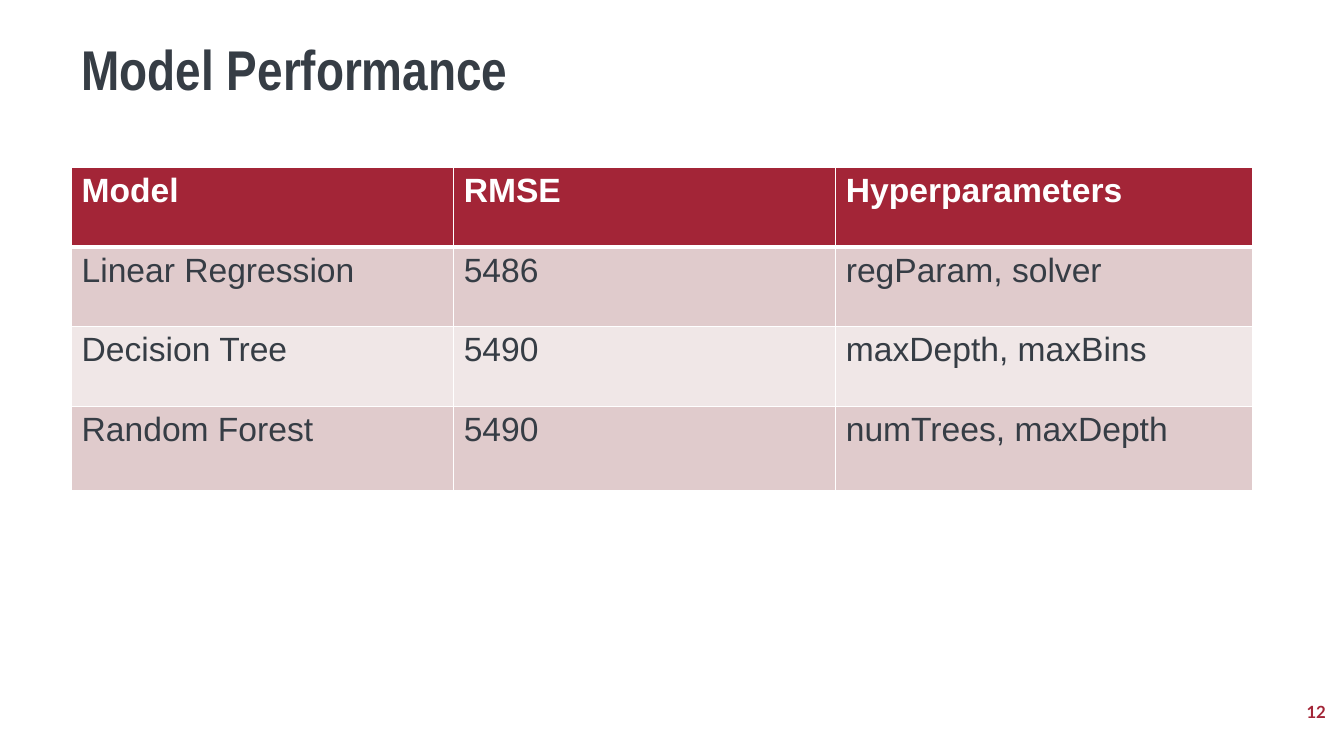
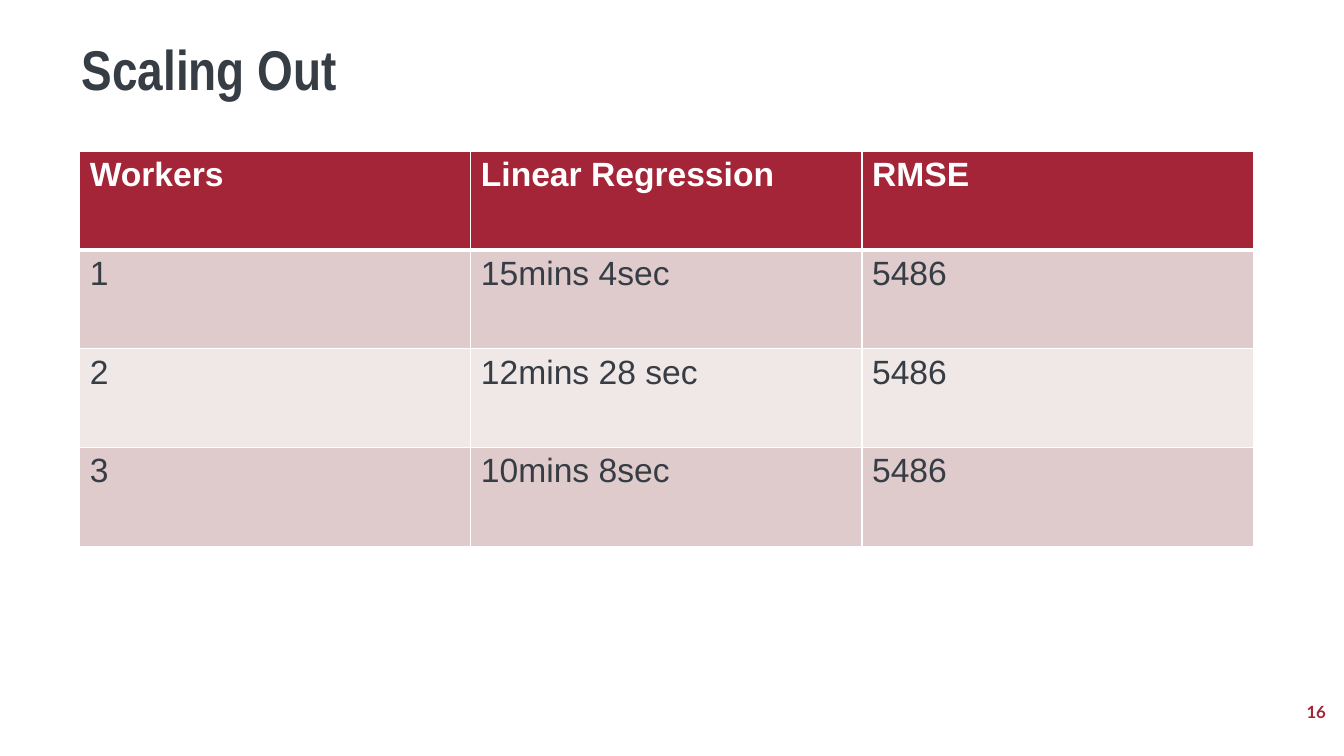
import pptx
import pptx.util
import pptx.dml.color
import pptx.enum.text
import pptx.oxml.ns
from lxml import etree

Inches = pptx.util.Inches
Pt = pptx.util.Pt
RGBColor = pptx.dml.color.RGBColor
Align = pptx.enum.text.PP_ALIGN
Anchor = pptx.enum.text.MSO_ANCHOR

CRIMSON = RGBColor(0xA3, 0x25, 0x37)
SLATE = RGBColor(0x36, 0x3D, 0x45)
WHITE = RGBColor(0xFF, 0xFF, 0xFF)
BANDS = (RGBColor(0xE0, 0xCB, 0xCC), RGBColor(0xF0, 0xE7, 0xE7))

TITLE_ONLY = 5
GRID_WIDTH, HEADER_RULE_WIDTH = 1, 3

SLIDES = [
    {
        "title": "Model Performance",
        "number": "12",
        "position": (0.71, 1.66),
        "columns": (3.79, 3.79, 4.13),
        "heights": (0.79, 0.79, 0.79, 0.84),
        "rows": [
            ("Model", "RMSE", "Hyperparameters"),
            ("Linear Regression", "5486", "regParam, solver"),
            ("Decision Tree", "5490", "maxDepth, maxBins"),
            ("Random Forest", "5490", "numTrees, maxDepth"),
        ],
    },
    {
        "title": "Scaling Out",
        "number": "16",
        "position": (0.79, 1.5),
        "columns": (3.88,) * 3,
        "heights": (0.98,) * 4,
        "rows": [
            ("Workers", "Linear Regression", "RMSE"),
            ("1", "15mins 4sec", "5486"),
            ("2", "12mins 28 sec", "5486"),
            ("3", "10mins 8sec", "5486"),
        ],
    },
]


def add_run(paragraph, text, font_name, size, color, bold=True):
    run = paragraph.add_run()
    run.text = text
    run.font.name = font_name
    run.font.size = Pt(size)
    run.font.color.rgb = color
    run.font.bold = bold


def set_title(slide, text):
    title = slide.shapes.title
    title.left, title.top = Inches(0.71), Inches(0.37)
    title.width, title.height = Inches(11.71), Inches(0.8)
    frame = title.text_frame
    frame.auto_size = pptx.enum.text.MSO_AUTO_SIZE.NONE
    frame.vertical_anchor = Anchor.TOP
    paragraph = frame.paragraphs[0]
    paragraph.alignment = Align.LEFT
    paragraph.line_spacing = 0.9
    add_run(paragraph, text, "Arial Narrow", 40, SLATE)


def add_page_number(slide, number):
    box = slide.shapes.add_textbox(Inches(10.25), Inches(6.86), Inches(3), Inches(0.4))
    frame = box.text_frame
    frame.word_wrap = True
    frame.vertical_anchor = Anchor.MIDDLE
    paragraph = frame.paragraphs[0]
    paragraph.alignment = Align.RIGHT
    add_run(paragraph, number, "Lato", 12, CRIMSON)


def set_borders(cell, row_index):
    """Draw the white grid, with a thicker rule between header and body."""
    widths = {"lnL": GRID_WIDTH, "lnR": GRID_WIDTH, "lnT": GRID_WIDTH, "lnB": GRID_WIDTH}
    if row_index == 0:
        widths["lnB"] = HEADER_RULE_WIDTH
    elif row_index == 1:
        widths["lnT"] = HEADER_RULE_WIDTH
    qn = pptx.oxml.ns.qn
    properties = cell._tc.get_or_add_tcPr()
    for side, width in widths.items():
        line = etree.SubElement(properties, qn("a:" + side), w=str(Pt(width)))
        fill = etree.SubElement(line, qn("a:solidFill"))
        etree.SubElement(fill, qn("a:srgbClr"), val=str(WHITE))


def add_data_table(slide, rows, position, columns, heights):
    left, top = position
    table = slide.shapes.add_table(
        len(rows), len(columns), Inches(left), Inches(top),
        Inches(sum(columns)), Inches(sum(heights))).table
    for column, width in zip(table.columns, columns):
        column.width = Inches(width)
    for row_index, (row, height, texts) in enumerate(zip(table.rows, heights, rows)):
        row.height = Inches(height)
        header = row_index == 0
        for cell, text in zip(row.cells, texts):
            set_borders(cell, row_index)
            cell.fill.solid()
            cell.fill.fore_color.rgb = CRIMSON if header else BANDS[(row_index - 1) % 2]
            add_run(cell.text_frame.paragraphs[0], text, "Arial", 24,
                    WHITE if header else SLATE, bold=header)


def main():
    presentation = pptx.Presentation()
    presentation.slide_width, presentation.slide_height = Inches(13.33), Inches(7.5)
    for content in SLIDES:
        slide = presentation.slides.add_slide(presentation.slide_layouts[TITLE_ONLY])
        set_title(slide, content["title"])
        add_page_number(slide, content["number"])
        add_data_table(slide, content["rows"], content["position"],
                       content["columns"], content["heights"])
    presentation.save("out.pptx")


if __name__ == "__main__":
    main()
